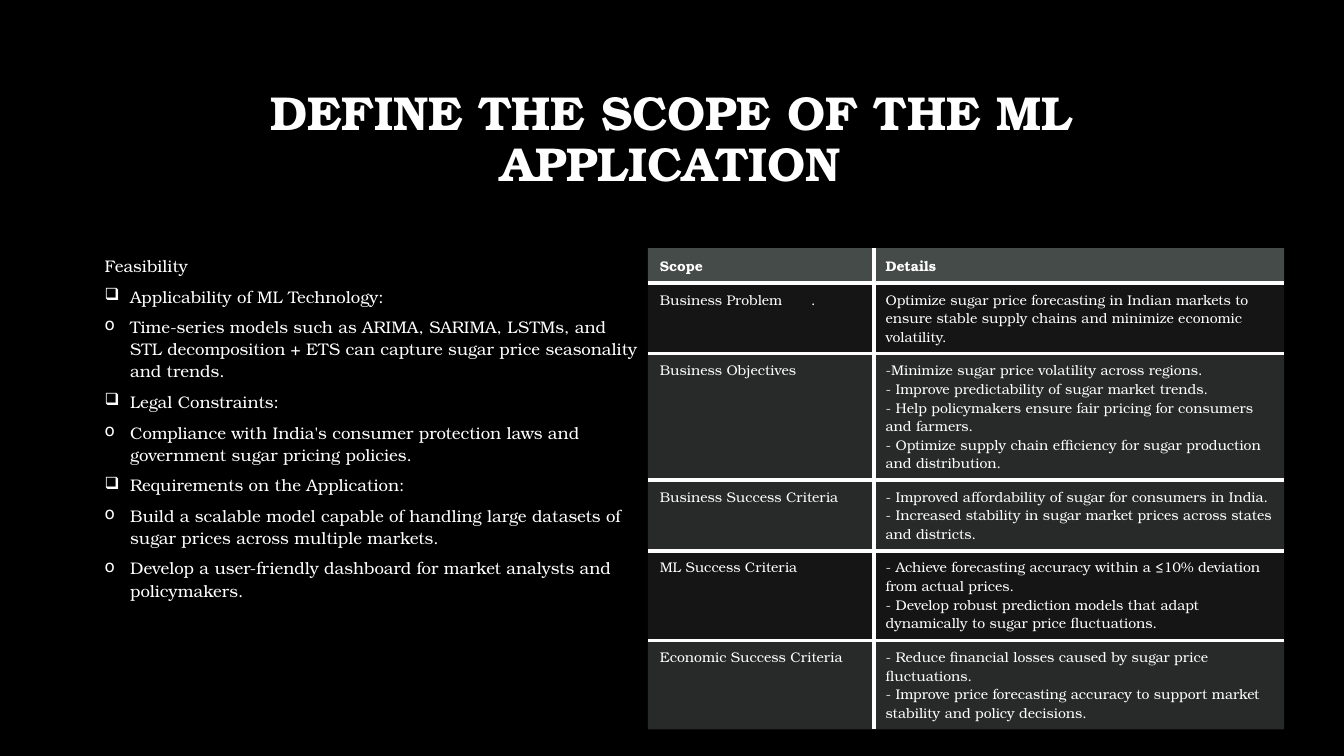
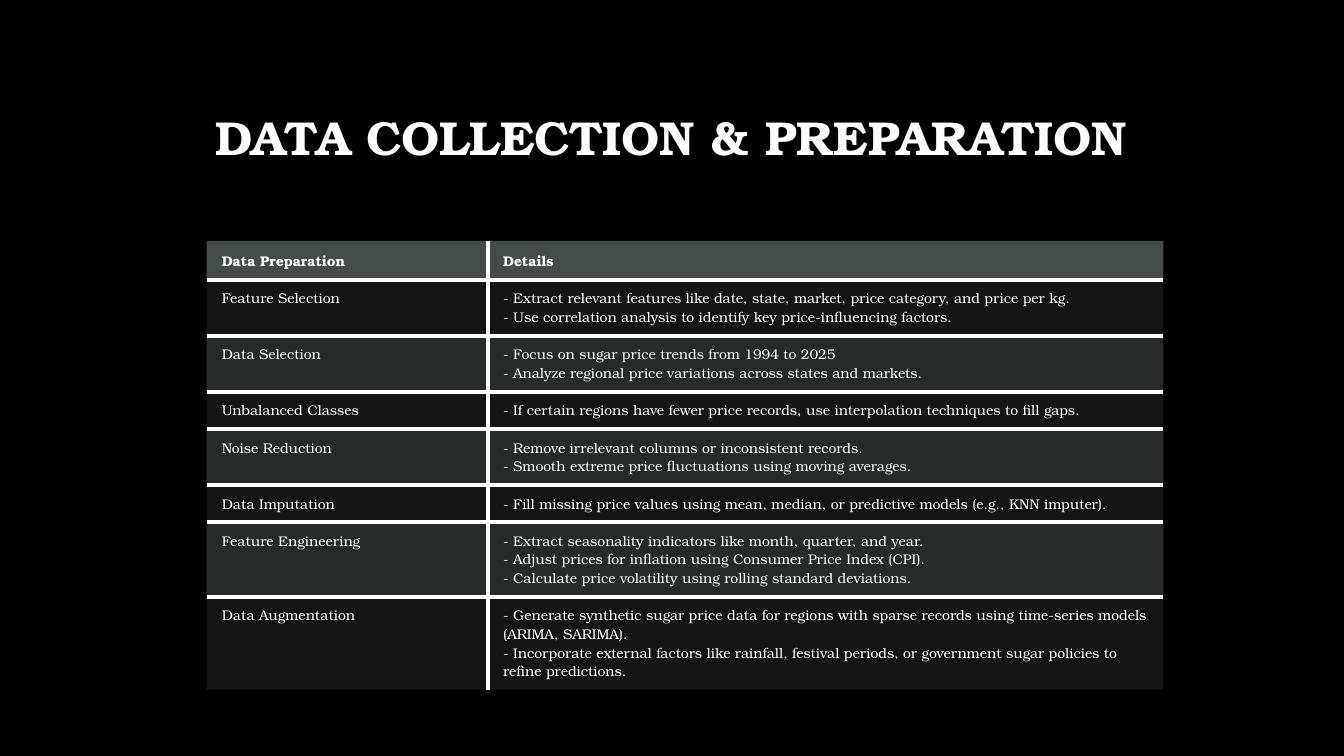
"""Build two slides on the scope and data preparation of a sugar price forecasting application."""
from dataclasses import dataclass

from lxml import etree
from pptx import Presentation
from pptx.dml.color import RGBColor
from pptx.enum.text import MSO_ANCHOR, PP_ALIGN
from pptx.oxml.ns import qn
from pptx.slide import Slide
from pptx.table import _Cell
from pptx.text.text import _Paragraph
from pptx.util import Cm, Pt

CENTER = PP_ALIGN.CENTER
MIDDLE = MSO_ANCHOR.MIDDLE
FONT = "TeX Gyre Bonum"
COLORS = {"background": "000000", "text": "FFFFFF", "rule": "FFFFFF",
          "header": "636B68", "band": "878E8B"}
RULE_WIDTH = Pt(3)
INDENT = Cm(0.64)
BOX, CIRCLE = "❑", "o"


@dataclass(frozen=True)
class Shade:
    color: str
    opacity: int


HEADER = Shade("header", 70)
DARK = Shade("band", 15)
LIGHT = Shade("band", 30)


@dataclass(frozen=True)
class Row:
    topic: str
    details: tuple[str, ...]
    height: float
    shade: Shade


@dataclass(frozen=True)
class Grid:
    left: float
    top: float
    columns: tuple[float, float]
    inset_left: float
    inset: float
    rows: tuple[Row, ...]


@dataclass(frozen=True)
class Point:
    text: str
    bullet: str = ""


FEASIBILITY = (
    Point("Feasibility"),
    Point("Applicability of ML Technology:", BOX),
    Point("Time-series models such as ARIMA, SARIMA, LSTMs, and STL decomposition + ETS "
          "can capture sugar price seasonality and trends.", CIRCLE),
    Point("Legal Constraints:", BOX),
    Point("Compliance with India's consumer protection laws and government sugar pricing "
          "policies.", CIRCLE),
    Point("Requirements on the Application:", BOX),
    Point("Build a scalable model capable of handling large datasets of sugar prices "
          "across multiple markets.", CIRCLE),
    Point("Develop a user-friendly dashboard for market analysts and policymakers.", CIRCLE),
)

SCOPE = Grid(16.33, 6.25, (5.69, 10.34), 0.3, 0.18, (
    Row("Scope", ("Details",), 0.88, HEADER),
    Row("Business Problem\t.", (
        "Optimize sugar price forecasting in Indian markets to ensure stable supply chains "
        "and minimize economic volatility.",), 1.78, DARK),
    Row("Business Objectives", (
        "-Minimize sugar price volatility across regions.",
        "- Improve predictability of sugar market trends.",
        "- Help policymakers ensure fair pricing for consumers and farmers.",
        "- Optimize supply chain efficiency for sugar production and distribution.",
    ), 3.19, LIGHT),
    Row("Business Success Criteria", (
        "- Improved affordability of sugar for consumers in India.",
        "- Increased stability in sugar market prices across states and districts.",
    ), 1.78, LIGHT),
    Row("ML Success Criteria", (
        "- Achieve forecasting accuracy within a ≤10% deviation from actual prices.",
        "- Develop robust prediction models that adapt dynamically to sugar price fluctuations.",
    ), 2.26, DARK),
    Row("Economic Success Criteria", (
        "- Reduce financial losses caused by sugar price fluctuations.",
        "- Improve price forecasting accuracy to support market stability and policy decisions.",
    ), 2.24, LIGHT),
))

PREPARATION = Grid(5.21, 6.07, (7.09, 17.02), 0.38, 0.23, (
    Row("Data Preparation", ("Details",), 0.98, HEADER),
    Row("Feature Selection", (
        "- Extract relevant features like date, state, market, price category, and price per kg.",
        "- Use correlation analysis to identify key price-influencing factors.",
    ), 1.41, DARK),
    Row("Data Selection", (
        "- Focus on sugar price trends from 1994 to 2025",
        "- Analyze regional price variations across states and markets.",
    ), 1.41, LIGHT),
    Row("Unbalanced Classes", (
        "- If certain regions have fewer price records, use interpolation techniques to fill gaps.",
    ), 0.94, DARK),
    Row("Noise Reduction", (
        "- Remove irrelevant columns or inconsistent records.",
        "- Smooth extreme price fluctuations using moving averages.",
    ), 1.41, LIGHT),
    Row("Data Imputation", (
        "- Fill missing price values using mean, median, or predictive models (e.g., KNN imputer).",
    ), 0.94, DARK),
    Row("Feature Engineering", (
        "- Extract seasonality indicators like month, quarter, and year.",
        "- Adjust prices for inflation using Consumer Price Index (CPI).",
        "- Calculate price volatility using rolling standard deviations.",
    ), 1.88, LIGHT),
    Row("Data Augmentation", (
        "- Generate synthetic sugar price data for regions with sparse records using "
        "time-series models (ARIMA, SARIMA).",
        "- Incorporate external factors like rainfall, festival periods, or government sugar "
        "policies to refine predictions.",
    ), 2.34, DARK),
))


def rgb(name: str) -> RGBColor:
    """Look up a named colour."""
    return RGBColor.from_string(COLORS[name])


def add_run(paragraph: _Paragraph, text: str, size: int, bold: bool = False) -> None:
    """Append one run in the shared font and text colour."""
    run = paragraph.add_run()
    run.text = text
    run.font.name = FONT
    run.font.size = Pt(size)
    run.font.bold = bold
    run.font.color.rgb = rgb("text")


def add_title(slide: Slide, text: str) -> None:
    """Place the centred slide title."""
    frame = slide.shapes.add_textbox(Cm(2.54), Cm(1.7), Cm(28.75), Cm(3.68)).text_frame
    frame.word_wrap = True
    frame.vertical_anchor = MIDDLE
    paragraph = frame.paragraphs[0]
    paragraph.alignment = CENTER
    paragraph.line_spacing = 0.9
    add_run(paragraph, text, 34, bold=True)


def add_points(slide: Slide, points: tuple[Point, ...]) -> None:
    """Place the list of points with hanging bullets."""
    frame = slide.shapes.add_textbox(Cm(2.39), Cm(6.27), Cm(13.94), Cm(10.26)).text_frame
    frame.word_wrap = True
    for index, point in enumerate(points):
        paragraph = frame.add_paragraph() if index else frame.paragraphs[0]
        paragraph.line_spacing = 1.1
        paragraph.space_after = Pt(6)
        if point.bullet:
            properties = paragraph._p.get_or_add_pPr()
            properties.set("marL", str(INDENT))
            properties.set("indent", str(-INDENT))
            etree.SubElement(properties, qn("a:buChar"), char=point.bullet)
        add_run(paragraph, point.text, 12)


def shade_cell(cell: _Cell, shade: Shade) -> None:
    """Fill a cell with a translucent colour."""
    cell.fill.solid()
    cell.fill.fore_color.rgb = rgb(shade.color)
    color = cell._tc.tcPr.find(qn("a:solidFill")).find(qn("a:srgbClr"))
    etree.SubElement(color, qn("a:alpha"), val=str(shade.opacity * 1000))


def rule_cell(cell: _Cell, inner_sides: dict[str, bool]) -> None:
    """Draw rules on the inner sides of a cell and clear the outer ones."""
    properties = cell._tc.get_or_add_tcPr()
    for position, (side, inner) in enumerate(inner_sides.items()):
        rule = etree.Element(qn(f"a:ln{side}"), w=str(RULE_WIDTH if inner else 0))
        if inner:
            fill = etree.SubElement(rule, qn("a:solidFill"))
            etree.SubElement(fill, qn("a:srgbClr"), val=COLORS["rule"])
        else:
            etree.SubElement(rule, qn("a:noFill"))
        properties.insert(position, rule)


def add_grid(slide: Slide, grid: Grid) -> None:
    """Place a two-column table of topics and details."""
    table = slide.shapes.add_table(
        len(grid.rows), len(grid.columns), Cm(grid.left), Cm(grid.top),
        Cm(sum(grid.columns)), Cm(sum(row.height for row in grid.rows))).table
    table.horz_banding = False
    for column, width in zip(table.columns, grid.columns):
        column.width = Cm(width)
    last_row, last_column = len(grid.rows) - 1, len(grid.columns) - 1
    for r, row in enumerate(grid.rows):
        table.rows[r].height = Cm(row.height)
        for c, lines in enumerate(((row.topic,), row.details)):
            cell = table.cell(r, c)
            cell.margin_left = Cm(grid.inset_left)
            cell.margin_right = cell.margin_top = cell.margin_bottom = Cm(grid.inset)
            shade_cell(cell, row.shade)
            rule_cell(cell, {"L": c > 0, "R": c < last_column, "T": r > 0, "B": r < last_row})
            frame = cell.text_frame
            for index, line in enumerate(lines):
                paragraph = frame.add_paragraph() if index else frame.paragraphs[0]
                add_run(paragraph, line, 10, bold=row.shade is HEADER)


def main() -> None:
    """Build and save the presentation."""
    deck = Presentation()
    deck.slide_width, deck.slide_height = Cm(33.87), Cm(19.05)
    backdrop = deck.slide_master.background.fill
    backdrop.solid()
    backdrop.fore_color.rgb = rgb("background")
    blank = deck.slide_layouts[6]

    scope = deck.slides.add_slide(blank)
    add_title(scope, "DEFINE THE SCOPE OF THE ML APPLICATION")
    add_points(scope, FEASIBILITY)
    add_grid(scope, SCOPE)

    preparation = deck.slides.add_slide(blank)
    add_title(preparation, "DATA COLLECTION & PREPARATION")
    add_grid(preparation, PREPARATION)

    deck.save("out.pptx")


if __name__ == "__main__":
    main()
